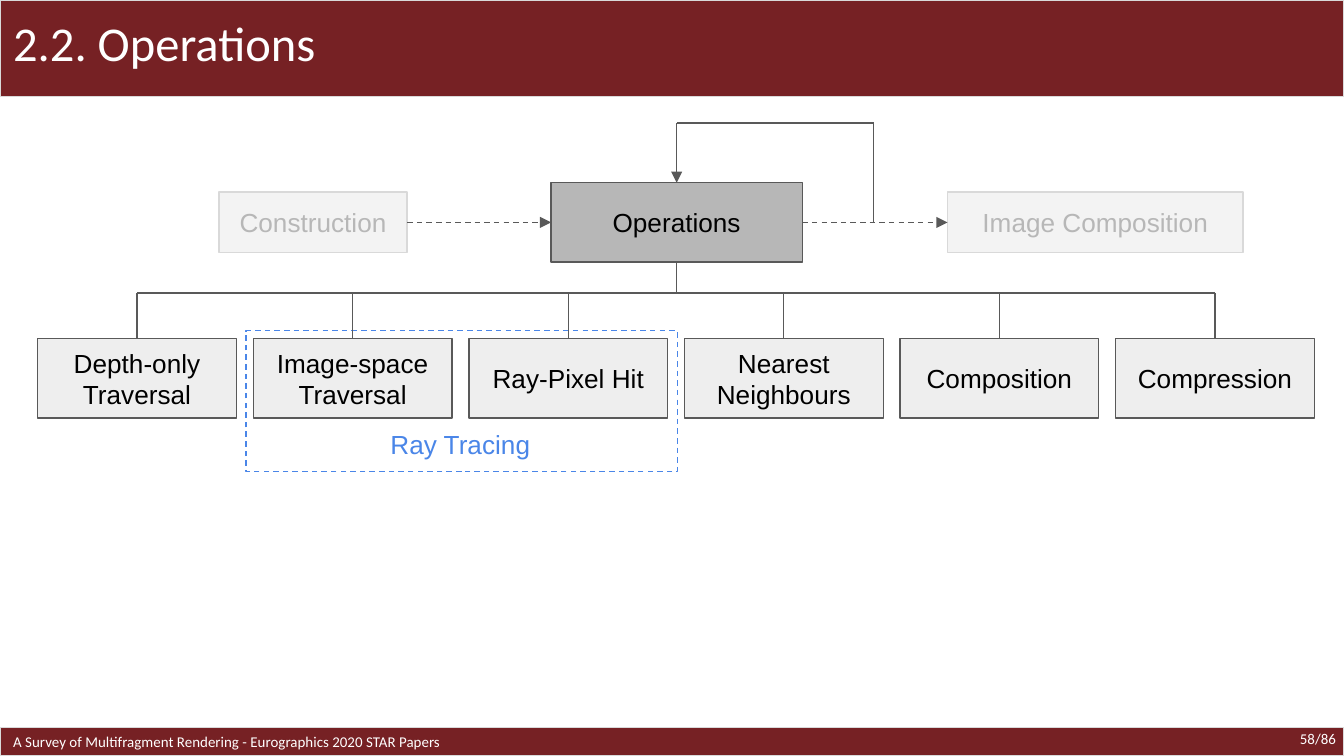
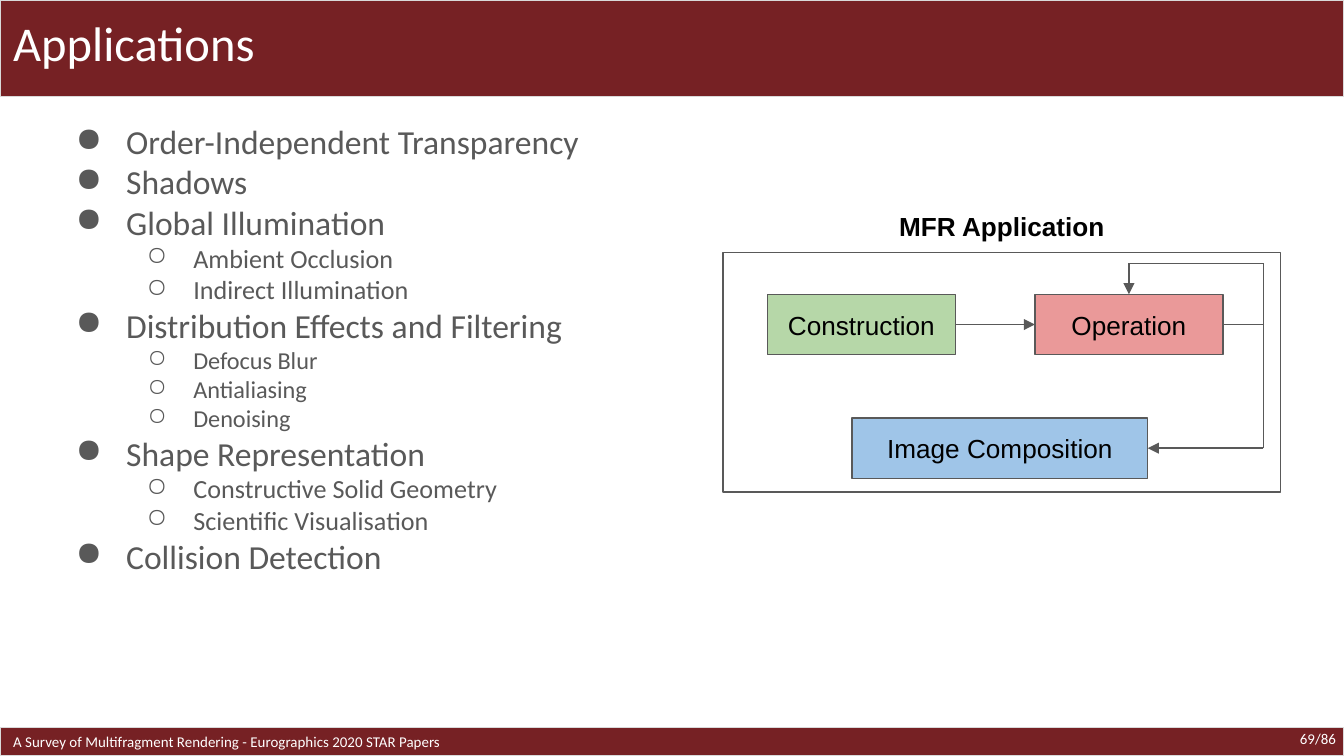
import itertools

import pptx
import pptx.dml.color
import pptx.enum.dml
import pptx.enum.shapes
import pptx.enum.text
import pptx.oxml
import pptx.oxml.ns
import pptx.shapes.base
import pptx.util

COLUMNS, ROWS = 100, 56.25
MAROON, WHITE, BLACK = "762124", "FFFFFF", "000000"
DARK_GRAY, MID_GRAY, EDGE_GRAY = "595959", "B7B7B7", "D9D9D9"
FADED, PALE_GRAY, BLUE = "F3F3F3", "EEEEEE", "4A86E8"
GREEN, RED, LIGHT_BLUE = "B6D7A8", "EA9999", "9FC5E8"
TOP, LEFT, BOTTOM, RIGHT = range(4)
ALIGN = pptx.enum.text.PP_ALIGN
DASH = pptx.enum.dml.MSO_LINE.DASH


def color(value):
    return pptx.dml.color.RGBColor.from_string(value)


def add_xml(parent, tag, **attributes):
    element = pptx.oxml.parse_xml(f'<a:{tag} {pptx.oxml.ns.nsdecls("a")}/>')
    for name, value in attributes.items():
        element.set(name, value)
    parent.append(element)
    return element


class Deck:
    def __init__(self):
        self.presentation = pptx.Presentation()
        self.presentation.slide_width = pptx.util.Inches(10)
        self.presentation.slide_height = pptx.util.Inches(5.625)
        self.slide = None

    def grid(self, *lengths):
        """Turn alternating columns and rows into slide lengths."""
        units = itertools.cycle((self.presentation.slide_width / COLUMNS,
                                 self.presentation.slide_height / ROWS))
        return [round(length * unit) for length, unit in zip(lengths, units)]

    def new_slide(self, title, page):
        self.slide = self.presentation.slides.add_slide(
            self.presentation.slide_layouts[6])
        footer = self.box((0, 54.15, 100, 2.1), MAROON, EDGE_GRAY)
        self.set_text(footer, ["A Survey of Multifragment Rendering - "
                               "Eurographics 2020 STAR Papers"],
                      8, WHITE, "Calibri", ALIGN.LEFT)
        self.box((0, 0, 100, 7.2), MAROON, EDGE_GRAY)
        self.label((0, 0, 81.7, 7.2), title, 26, WHITE, "Calibri", ALIGN.LEFT)
        self.label((91.4, 53.6, 9, 3.1), page, 8, WHITE, "Calibri", ALIGN.RIGHT)

    def box(self, area, fill=None, line=DARK_GRAY, lines=(), ink=BLACK,
            dashed=False):
        shape = self.slide.shapes.add_shape(
            pptx.enum.shapes.MSO_SHAPE.RECTANGLE, *self.grid(*area))
        shape.shadow.inherit = False
        if fill:
            shape.fill.solid()
            shape.fill.fore_color.rgb = color(fill)
        else:
            shape.fill.background()
        self.stroke(shape, line, dashed)
        if lines:
            self.set_text(shape, lines, ink=ink)
        return shape

    def stroke(self, shape, line, dashed):
        shape.line.color.rgb = color(line)
        shape.line.width = pptx.util.Pt(0.75)
        if dashed:
            shape.line.dash_style = DASH

    def text_box(self, area):
        shape = self.slide.shapes.add_textbox(*self.grid(*area))
        self.frame(shape, pptx.enum.text.MSO_ANCHOR.TOP)
        return shape

    def label(self, area, text, size=14, ink=BLACK, font="Arial",
              align=ALIGN.CENTER):
        shape = self.text_box(area)
        self.set_text(shape, [text], size, ink, font, align,
                      pptx.enum.text.MSO_ANCHOR.TOP)
        return shape.text_frame.paragraphs[0]

    def frame(self, shape, anchor):
        frame = shape.text_frame
        frame.word_wrap = True
        frame.vertical_anchor = anchor
        frame.margin_left, frame.margin_top = self.grid(1, 1)
        frame.margin_right, frame.margin_bottom = self.grid(1, 1)

    def set_text(self, shape, lines, size=14, ink=BLACK, font="Arial",
                 align=ALIGN.CENTER, anchor=pptx.enum.text.MSO_ANCHOR.MIDDLE):
        self.frame(shape, anchor)
        for paragraph, text in self.paragraphs(shape, lines):
            paragraph.alignment = align
            self.add_run(paragraph, text, size, ink, font)

    def paragraphs(self, shape, items):
        frame = shape.text_frame
        for index, item in enumerate(items):
            yield (frame.add_paragraph() if index else frame.paragraphs[0]), item

    def add_run(self, paragraph, text, size, ink, font):
        run = paragraph.add_run()
        run.text = text
        run.font.name = font
        run.font.size = pptx.util.Pt(size)
        run.font.color.rgb = color(ink)

    def bullets(self, area, items):
        """Fill a list from (level, size, text) items."""
        hanging = {18: 3.75, 14: 3.47, 13: 3.4}
        shape = self.text_box(area)
        for paragraph, (level, size, text) in self.paragraphs(shape, items):
            paragraph.level = level
            properties = paragraph._p.get_or_add_pPr()
            margin, = self.grid(5 * (level + 1))
            indent, = self.grid(-hanging[size])
            properties.set("marL", str(margin))
            properties.set("indent", str(indent))
            add_xml(add_xml(properties, "buClr"), "srgbClr", val=DARK_GRAY)
            add_xml(properties, "buChar", char="●○"[level])
            self.add_run(paragraph, text, size, DARK_GRAY, "Calibri")

    def route(self, *stops, arrow=False, dashed=False):
        """Join stops, each a (column, row) point or a (shape, side) pair."""
        def is_joined(stop):
            return isinstance(stop[0], pptx.shapes.base.BaseShape)

        def place(stop):
            return (0, 0) if is_joined(stop) else self.grid(*stop)

        for start, end in itertools.pairwise(stops):
            connector = self.slide.shapes.add_connector(
                pptx.enum.shapes.MSO_CONNECTOR.STRAIGHT,
                *place(start), *place(end))
            if is_joined(start):
                connector.begin_connect(*start)
            if is_joined(end):
                connector.end_connect(*end)
            self.stroke(connector, DARK_GRAY, dashed)
            if arrow and end is stops[-1]:
                add_xml(connector.line._get_or_add_ln(), "tailEnd",
                        type="triangle")
            add_xml(connector._element.spPr, "effectLst")


def build_operations(deck):
    deck.new_slide("2.2. Operations", "58/86")

    # Pipeline stages
    operations = deck.box((41, 13.6, 18.7, 5.9), MID_GRAY, lines=["Operations"])
    construction = deck.box((16.3, 14.3, 14, 4.5), FADED, EDGE_GRAY,
                            ["Construction"], MID_GRAY)
    composition = deck.box((70.5, 14.3, 22, 4.5), FADED, EDGE_GRAY,
                           ["Image Composition"], MID_GRAY)
    deck.route((construction, RIGHT), (operations, LEFT), arrow=True, dashed=True)
    deck.route((operations, RIGHT), (composition, LEFT), arrow=True, dashed=True)
    deck.route((65, 16.55), (65, 9.15), (50.35, 9.15), (operations, TOP),
               arrow=True)

    # Ray tracing group
    deck.box((18.3, 24.6, 32.1, 10.5), line=BLUE, dashed=True)
    deck.label((18.2, 30.9, 32.1, 3.7), "Ray Tracing", ink=BLUE)

    # Tree of operation kinds
    kinds = [["Depth-only", "Traversal"], ["Image-space", "Traversal"],
             ["Ray-Pixel Hit"], ["Nearest Neighbours"], ["Composition"],
             ["Compression"]]
    first, pitch, width, bus = 2.8, 16.04, 14.8, 21.8
    centers = [first + pitch * index + width / 2 for index in range(len(kinds))]
    for center, lines in zip(centers, kinds):
        kind = deck.box((center - width / 2, 25.2, width, 5.9), PALE_GRAY,
                        lines=lines)
        deck.route((center, bus), (kind, TOP))
    deck.route((centers[0], bus), (centers[-1], bus))
    deck.route((operations, BOTTOM), (50.35, bus))


def build_applications(deck):
    deck.new_slide("Applications", "69/86")

    # List of applications
    deck.bullets((3.4, 8, 93.2, 44.8), [
        (0, 18, "Order-Independent Transparency"),
        (0, 18, "Shadows"),
        (0, 18, "Global Illumination"),
        (1, 14, "Ambient Occlusion"),
        (1, 14, "Indirect Illumination"),
        (0, 18, "Distribution Effects and Filtering"),
        (1, 13, "Defocus Blur"),
        (1, 13, "Antialiasing"),
        (1, 13, "Denoising"),
        (0, 18, "Shape Representation"),
        (1, 14, "Constructive Solid Geometry"),
        (1, 14, "Scientific Visualisation"),
        (0, 18, "Collision Detection"),
    ])

    # Application diagram
    heading = deck.label((53.8, 14.3, 41.5, 4.5), "MFR Application")
    heading.line_spacing = 1.15
    heading.runs[0].font.bold = True
    deck.box((53.8, 18.8, 41.5, 17.8))
    construction = deck.box((57.1, 21.9, 14, 4.5), GREEN, lines=["Construction"])
    operation = deck.box((77, 21.9, 14, 4.5), RED, lines=["Operation"])
    composition = deck.box((63.4, 31.1, 22, 4.5), LIGHT_BLUE,
                           lines=["Image Composition"])

    # Flow with its feedback loop
    fork = (94, 24.15)
    deck.route((construction, RIGHT), (operation, LEFT), arrow=True)
    deck.route((operation, RIGHT), fork, (94, 19.6), (84, 19.6),
               (operation, TOP), arrow=True)
    deck.route(fork, (94, 33.35), (composition, RIGHT), arrow=True)


def main():
    deck = Deck()
    build_operations(deck)
    build_applications(deck)
    deck.presentation.save("out.pptx")


if __name__ == "__main__":
    main()
